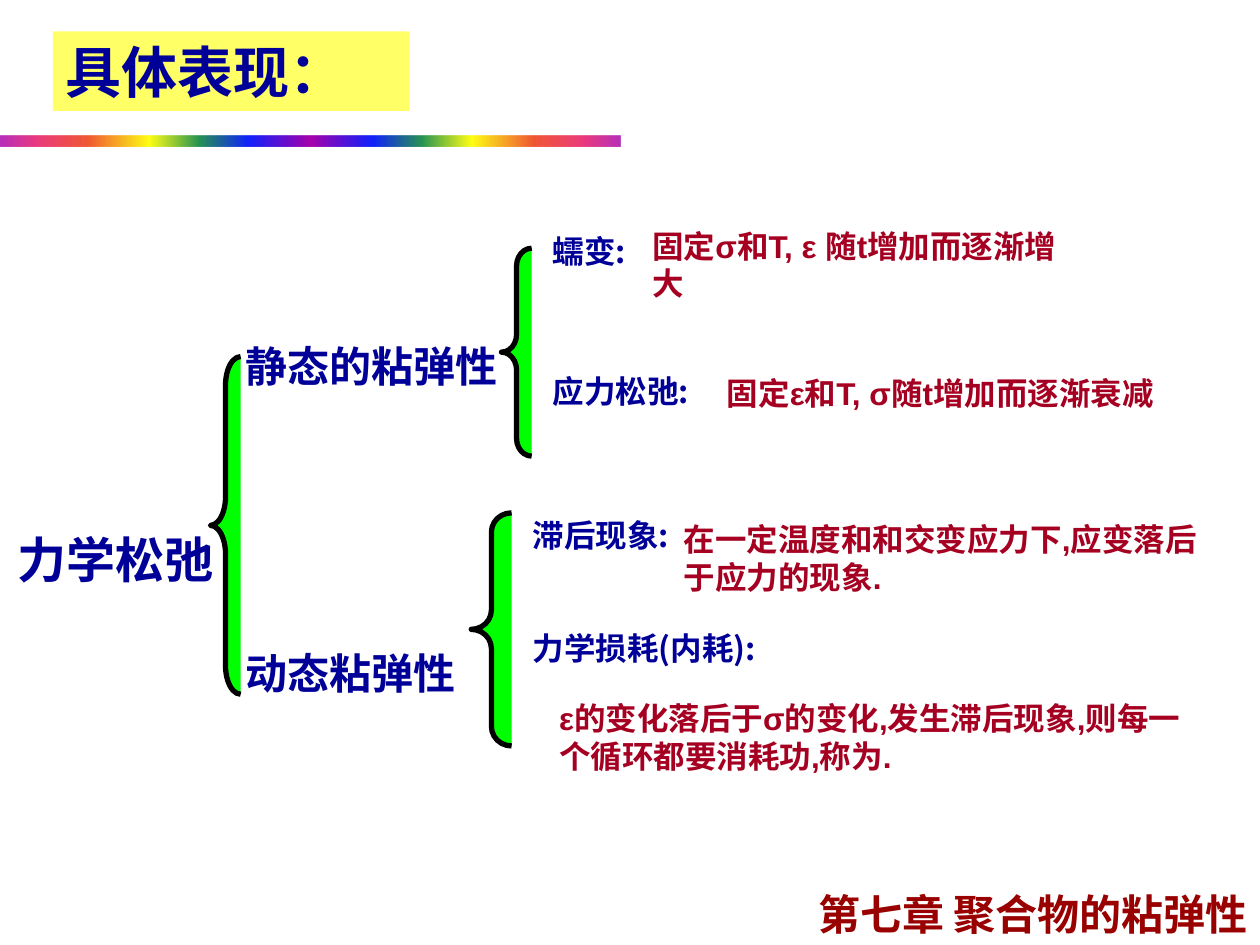
"""Build the slide on the forms of mechanical relaxation in polymers."""
from lxml import etree
from pptx import Presentation
from pptx import util as u
from pptx.dml.color import RGBColor
from pptx.enum import shapes, text
from pptx.oxml.ns import qn

NAVY = RGBColor(0x00, 0x00, 0x99)
CRIMSON = RGBColor(0xA5, 0x00, 0x21)
MAROON = RGBColor(0x99, 0x00, 0x00)
GREEN = RGBColor(0x00, 0xFF, 0x00)
YELLOW = RGBColor(0xFF, 0xFF, 0x66)
BLACK = RGBColor(0x00, 0x00, 0x00)
HAN_FONT = "Noto Sans CJK SC"
LATIN_FONT = "Arial"

VIOLET = ("A603AB", 100)
RAINBOW = [(6, "E81766", 84), (14, "EE3F17", 87), (24, "FFFF00", 91),
           (32, "1A8D48", 94), (40, "0819FB", 96)]

BRACES = [
    (3.98, 1.97, 0.24, 1.65, 0.584),
    (3.74, 4.07, 0.32, 1.85, 0.479),
    (1.67, 2.83, 0.24, 2.68, 0.945),
]
TERMS = [
    ("蠕变:", 4.29, 1.79, 4.96),
    ("应力松弛:", 4.29, 2.9, 5.24),
    ("滞后现象:", 4.13, 4.05, 5.12),
    ("力学损耗(内耗):", 4.13, 4.94, 5.43),
]
DEFINITIONS = [
    ("固定σ和T, ε 随t增加而逐渐增大", 5.08, 1.75, 3.65),
    ("固定ε和T, σ随t增加而逐渐衰减", 5.67, 2.92, 3.59),
    ("在一定温度和和交变应力下,应变落后于应力的现象.", 5.33, 4.08, 4.33),
    ("ε的变化落后于σ的变化,发生滞后现象,则每一个循环都要消耗功,称为.", 4.34, 5.5, 5.33),
]


def write(frame, wording, size=18, color=NAVY, font=HAN_FONT,
          align=text.PP_ALIGN.LEFT, wrap=True):
    """Put one bold line of wording into a text frame."""
    frame.word_wrap = wrap
    frame.auto_size = text.MSO_AUTO_SIZE.SHAPE_TO_FIT_TEXT
    frame.vertical_anchor = text.MSO_ANCHOR.TOP
    paragraph = frame.paragraphs[0]
    paragraph.alignment = align
    run = paragraph.add_run()
    run.text = wording
    run.font.size = u.Pt(size)
    run.font.bold = True
    run.font.color.rgb = color
    run.font.name = font
    east_asian = etree.SubElement(run.font._element, qn("a:ea"))
    east_asian.set("typeface", HAN_FONT)


def add_label(slide, wording, left, top, width, height=0.4, **style):
    """Add a text box with one formatted line."""
    box = slide.shapes.add_textbox(*map(u.Inches, (left, top, width, height)))
    write(box.text_frame, wording, **style)


def add_block(slide, kind, left, top, width, height):
    """Add a preset shape without shadow or outline."""
    block = slide.shapes.add_shape(kind, *map(u.Inches, (left, top, width, height)))
    block.shadow.inherit = False
    block.line.fill.background()
    return block


def add_brace(slide, left, top, width, height, curl):
    """Add a green left brace with a heavy black outline."""
    brace = add_block(slide, shapes.MSO_SHAPE.LEFT_BRACE, left, top, width, height)
    brace.adjustments[0] = curl
    brace.adjustments[1] = 0.5
    brace.fill.solid()
    brace.fill.fore_color.rgb = GREEN
    brace.line.color.rgb = BLACK
    brace.line.width = u.Pt(3)


def add_rainbow(slide):
    """Add the rule whose rainbow runs to the middle and back."""
    rule = add_block(slide, shapes.MSO_SHAPE.RECTANGLE, 0, 1.08, 4.92, 0.08)
    rule.fill.gradient()
    rule.fill.gradient_angle = 0
    stop_list = rule._element.spPr.find(".//" + qn("a:gsLst"))
    for stop in list(stop_list):
        stop_list.remove(stop)
    edge = [(0, VIOLET[0], 82)]
    rising = edge + RAINBOW
    falling = [(100 - place, color, alpha) for place, color, alpha in reversed(rising)]
    for place, color, alpha in rising + [(50, *VIOLET)] + falling:
        stop = etree.SubElement(stop_list, qn("a:gs"), pos=str(place * 1000))
        shade = etree.SubElement(stop, qn("a:srgbClr"), val=color)
        etree.SubElement(shade, qn("a:alpha"), val=str(alpha * 1000))


def add_title(slide):
    """Add the heading on its yellow panel."""
    panel = add_block(slide, shapes.MSO_SHAPE.RECTANGLE, 0.42, 0.25, 2.83, 0.63)
    panel.fill.solid()
    panel.fill.fore_color.rgb = YELLOW
    write(panel.text_frame, "具体表现：", size=32)


def main():
    """Build and save the slide."""
    deck = Presentation()
    deck.slide_width, deck.slide_height = u.Inches(10), u.Inches(7.5)
    slide = deck.slides.add_slide(deck.slide_layouts[6])
    add_rainbow(slide)
    add_label(slide, "第七章 聚合物的粘弹性", 4.25, 7, 5.75, 0.5,
              size=24, color=MAROON, align=text.PP_ALIGN.RIGHT)
    for brace in BRACES:
        add_brace(slide, *brace)
    add_label(slide, "力学松弛", 0.04, 4.15, 1.88, 0.57, size=28)
    add_label(slide, "静态的粘弹性", 1.85, 2.65, 2.2, 0.5, size=24, wrap=False)
    add_label(slide, "动态粘弹性", 1.85, 5.09, 1.97, 0.5, size=24)
    add_title(slide)
    for term in TERMS:
        add_label(slide, *term)
    for definition in DEFINITIONS:
        add_label(slide, *definition, height=0.7, color=CRIMSON, font=LATIN_FONT)
    deck.save("out.pptx")


if __name__ == "__main__":
    main()
